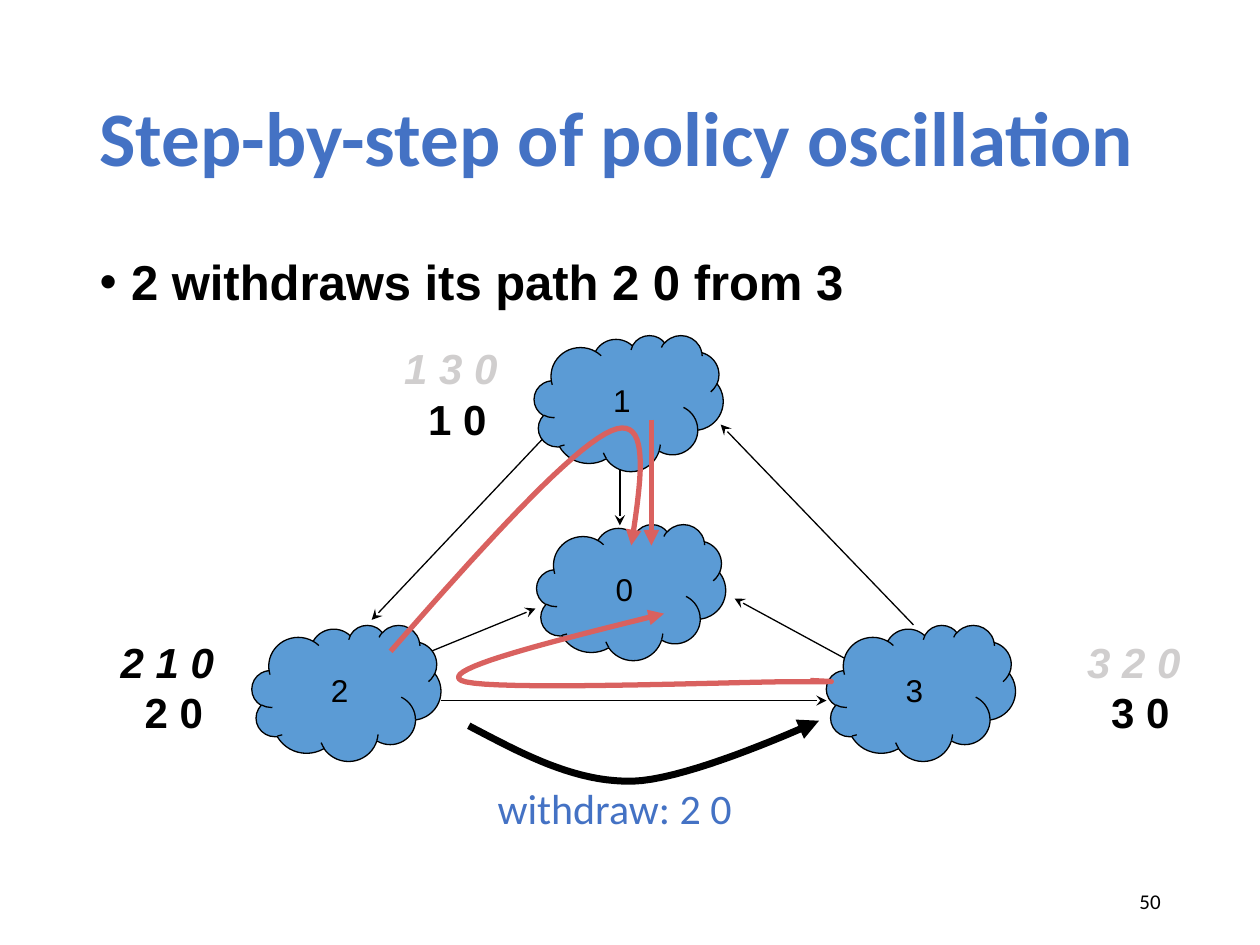
from lxml import etree
from pptx import Presentation
from pptx.dml.color import RGBColor
from pptx.enum import shapes, text
from pptx.oxml.ns import qn
from pptx.util import Inches, Pt

BLACK = RGBColor(0x00, 0x00, 0x00)
GREY = RGBColor(0xD0, 0xCE, 0xCE)
TITLE_BLUE = RGBColor(0x44, 0x72, 0xC4)
CLOUD_BLUE = RGBColor(0x5B, 0x9B, 0xD5)
PATH_RED = RGBColor(0xD9, 0x61, 0x5F)
CURVE_STEPS = 20


def style_line(shape, color, width, arrowhead=None):
    """Set an outline without shadow, with an optional arrowhead at its end."""
    shape.line.color.rgb = color
    shape.line.width = Pt(width)
    properties = shape._element.spPr
    if arrowhead:
        etree.SubElement(properties.find(qn("a:ln")), qn("a:tailEnd"), type=arrowhead)
    etree.SubElement(properties, qn("a:effectLst"))


def add_run(paragraph, words, font_name, size, color, bold=False, italic=False):
    run = paragraph.add_run()
    run.text = words
    run.font.name = font_name
    run.font.size = Pt(size)
    run.font.color.rgb = color
    run.font.bold = bold
    run.font.italic = italic


presentation = Presentation()
presentation.slide_width = Inches(10)
presentation.slide_height = Inches(7.5)
slide = presentation.slides.add_slide(presentation.slide_layouts[1])

# Links and clouds of the network
network = slide.shapes.add_group_shape()
links = [
    (4.92, 3.58, 4.92, 4.17),
    (4.31, 3.48, 2.95, 4.92),
    (3.5, 5.56, 6.56, 5.56),
    (7.25, 4.96, 5.72, 3.37),
    (3.42, 5.17, 4.25, 4.83),
    (6.75, 5.25, 5.83, 4.75),
]
for ends in links:
    link = network.shapes.add_connector(
        shapes.MSO_CONNECTOR.STRAIGHT, *[Inches(value) for value in ends])
    style_line(link, BLACK, 0.75, "stealth")

clouds = [("1", 4.24, 2.66), ("2", 2, 4.96), ("3", 6.56, 4.96), ("0", 4.26, 4.16)]
for name, left, top in clouds:
    cloud = network.shapes.add_shape(
        shapes.MSO_SHAPE.CLOUD, Inches(left), Inches(top), Inches(1.5), Inches(1.08))
    cloud.fill.solid()
    cloud.fill.fore_color.rgb = CLOUD_BLUE
    style_line(cloud, BLACK, 0.75)
    cloud.text_frame.vertical_anchor = text.MSO_ANCHOR.MIDDLE
    paragraph = cloud.text_frame.paragraphs[0]
    paragraph.alignment = text.PP_ALIGN.CENTER
    add_run(paragraph, name, "Arial", 18, BLACK)

# Title and bullet
title = slide.shapes.title
title.left, title.top = Inches(0.69), Inches(0.4)
title.width, title.height = Inches(8.62), Inches(1.45)
title.text_frame.vertical_anchor = text.MSO_ANCHOR.MIDDLE
paragraph = title.text_frame.paragraphs[0]
paragraph.alignment = text.PP_ALIGN.LEFT
paragraph.line_spacing = 0.9
add_run(paragraph, "Step-by-step of policy oscillation", "Calibri", 44, TITLE_BLUE, bold=True)

body = slide.placeholders[1]
body.left, body.top = Inches(0.69), Inches(2)
body.width, body.height = Inches(8.62), Inches(4.76)
paragraph = body.text_frame.paragraphs[0]
paragraph.line_spacing = 0.9
paragraph.space_before = Pt(0)
bullet_properties = paragraph._p.get_or_add_pPr()
bullet_properties.set("marL", str(Inches(0.25)))
bullet_properties.set("indent", str(-Inches(0.25)))
etree.SubElement(bullet_properties, qn("a:buChar"), char="•")
add_run(paragraph, "2 withdraws its path 2 0 from 3", "Arial", 28, BLACK, bold=True)

# Route preferences beside the outer clouds
preferences = [
    (3.11, 2.67, "1 3 0", "1 0", GREY),
    (8.53, 5, "3 2 0", "3 0", GREY),
    (0.86, 5, "2 1 0", "2 0", BLACK),
]
for left, top, indirect, direct, color in preferences:
    box = slide.shapes.add_textbox(Inches(left), Inches(top), Inches(0.95), Inches(0.91))
    frame = box.text_frame
    frame.word_wrap = False
    frame.auto_size = text.MSO_AUTO_SIZE.SHAPE_TO_FIT_TEXT
    add_run(frame.paragraphs[0], indirect, "Arial", 24, color, bold=True, italic=True)
    paragraph = frame.add_paragraph()
    paragraph._p.get_or_add_pPr().set("marL", str(Inches(0.19)))
    add_run(paragraph, direct, "Arial", 24, BLACK, bold=True)

# Chosen routes and the withdrawal: start point, then cubic Bézier pieces
curves = [
    (PATH_RED, 3, [(6.43, 5.4),
                   (6.59, 5.41), (6.76, 5.41), (6.3, 5.41),
                   (5.84, 5.41), (3.83, 5.49), (3.66, 5.4),
                   (3.49, 5.31), (4.38, 5.09), (5.27, 4.87)]),
    (PATH_RED, 3, [(3.1, 5.17),
                   (3.81, 4.36), (4.53, 3.56), (4.85, 3.42),
                   (5.17, 3.28), (5.09, 3.81), (5.01, 4.33)]),
    (BLACK, 4, [(3.72, 5.76),
                (4.14, 5.98), (4.56, 6.21), (5.02, 6.2),
                (5.48, 6.19), (6.5, 5.72), (6.5, 5.72)]),
]
for color, width, controls in curves:
    points = []
    for first in range(0, len(controls) - 1, 3):
        piece = controls[first:first + 4]
        for step in range(1, CURVE_STEPS + 1):
            t = step / CURVE_STEPS
            weights = ((1 - t) ** 3, 3 * t * (1 - t) ** 2, 3 * t ** 2 * (1 - t), t ** 3)
            points.append(tuple(
                Inches(sum(weight * value for weight, value in zip(weights, axis)))
                for axis in zip(*piece)))
    start_x, start_y = controls[0]
    builder = slide.shapes.build_freeform(Inches(start_x), Inches(start_y))
    builder.add_line_segments(points, close=False)
    curve = builder.convert_to_shape()
    curve.fill.background()
    style_line(curve, color, width, "triangle")

direct_route = slide.shapes.add_connector(
    shapes.MSO_CONNECTOR.STRAIGHT, Inches(5.17), Inches(3.33), Inches(5.17), Inches(4.33))
style_line(direct_route, PATH_RED, 3, "triangle")

# Withdrawal label and slide number
withdrawal = slide.shapes.add_textbox(Inches(3.85), Inches(6.16), Inches(2.08), Inches(0.5))
withdrawal.text_frame.word_wrap = False
withdrawal.text_frame.auto_size = text.MSO_AUTO_SIZE.SHAPE_TO_FIT_TEXT
add_run(withdrawal.text_frame.paragraphs[0], "withdraw: 2 0", "Calibri", 24, TITLE_BLUE)

number = slide.shapes.add_textbox(Inches(7.06), Inches(6.95), Inches(2.25), Inches(0.4))
number.text_frame.word_wrap = True
number.text_frame.vertical_anchor = text.MSO_ANCHOR.MIDDLE
paragraph = number.text_frame.paragraphs[0]
paragraph.alignment = text.PP_ALIGN.RIGHT
add_run(paragraph, "50", "Calibri", 12, BLACK)

presentation.save("out.pptx")
